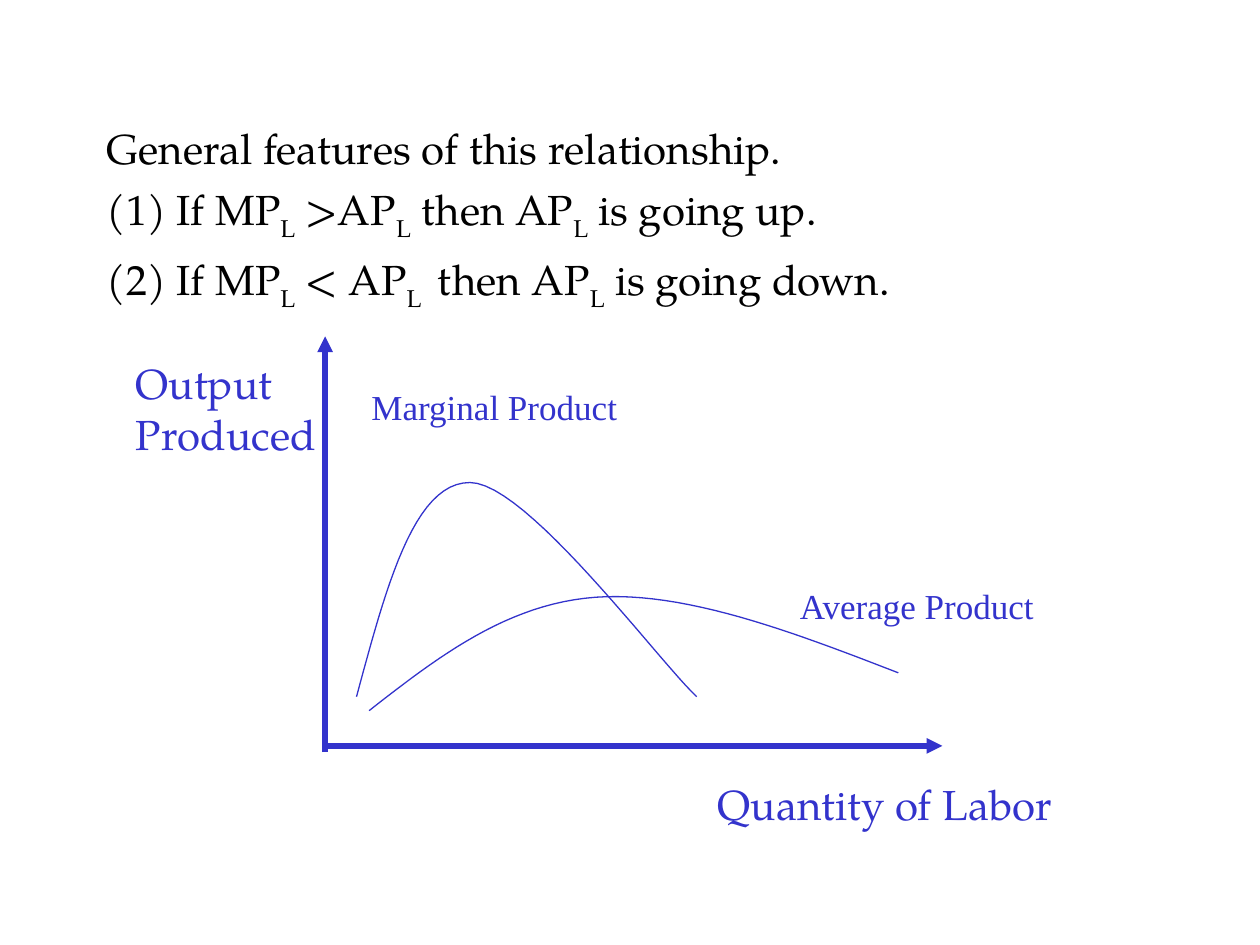
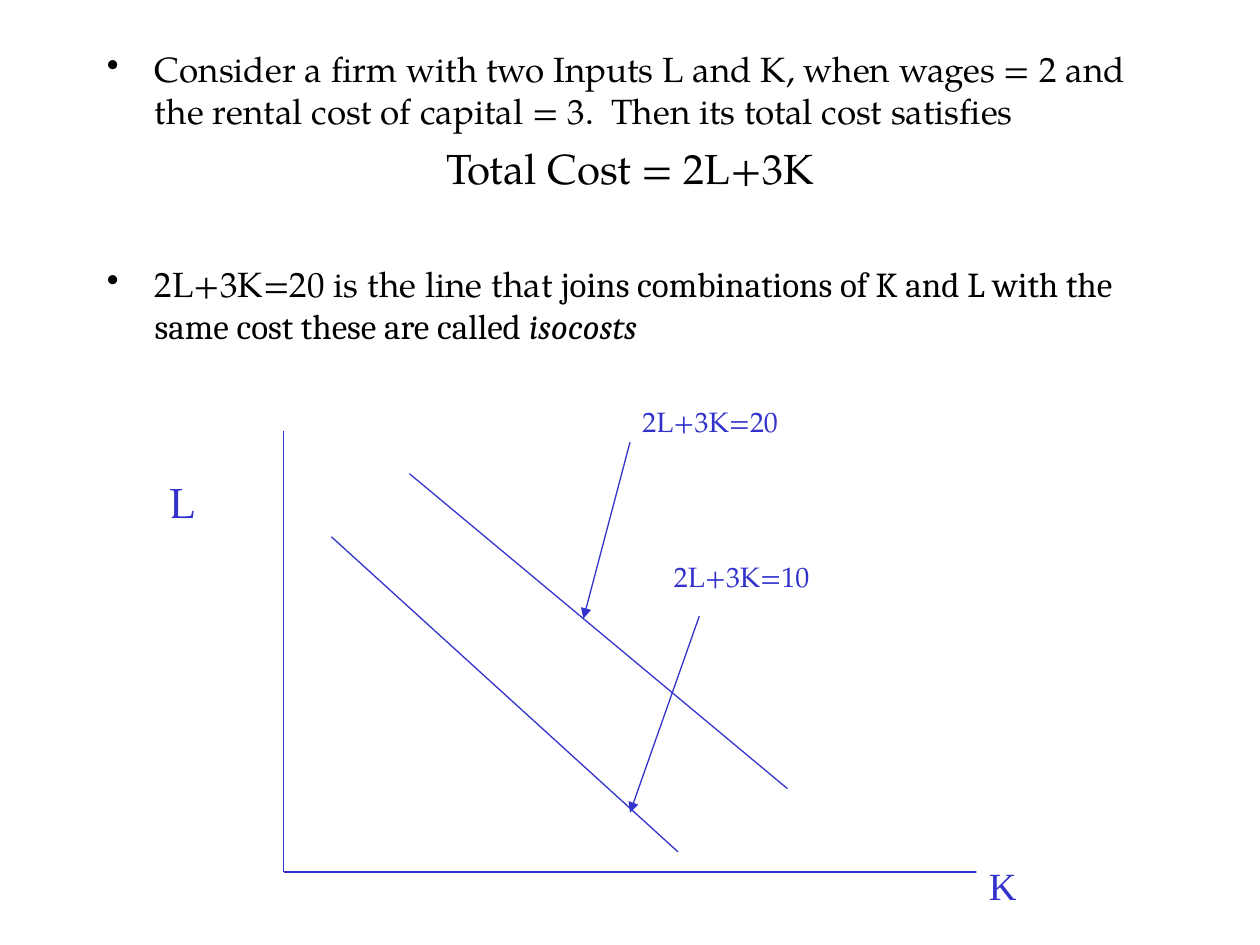
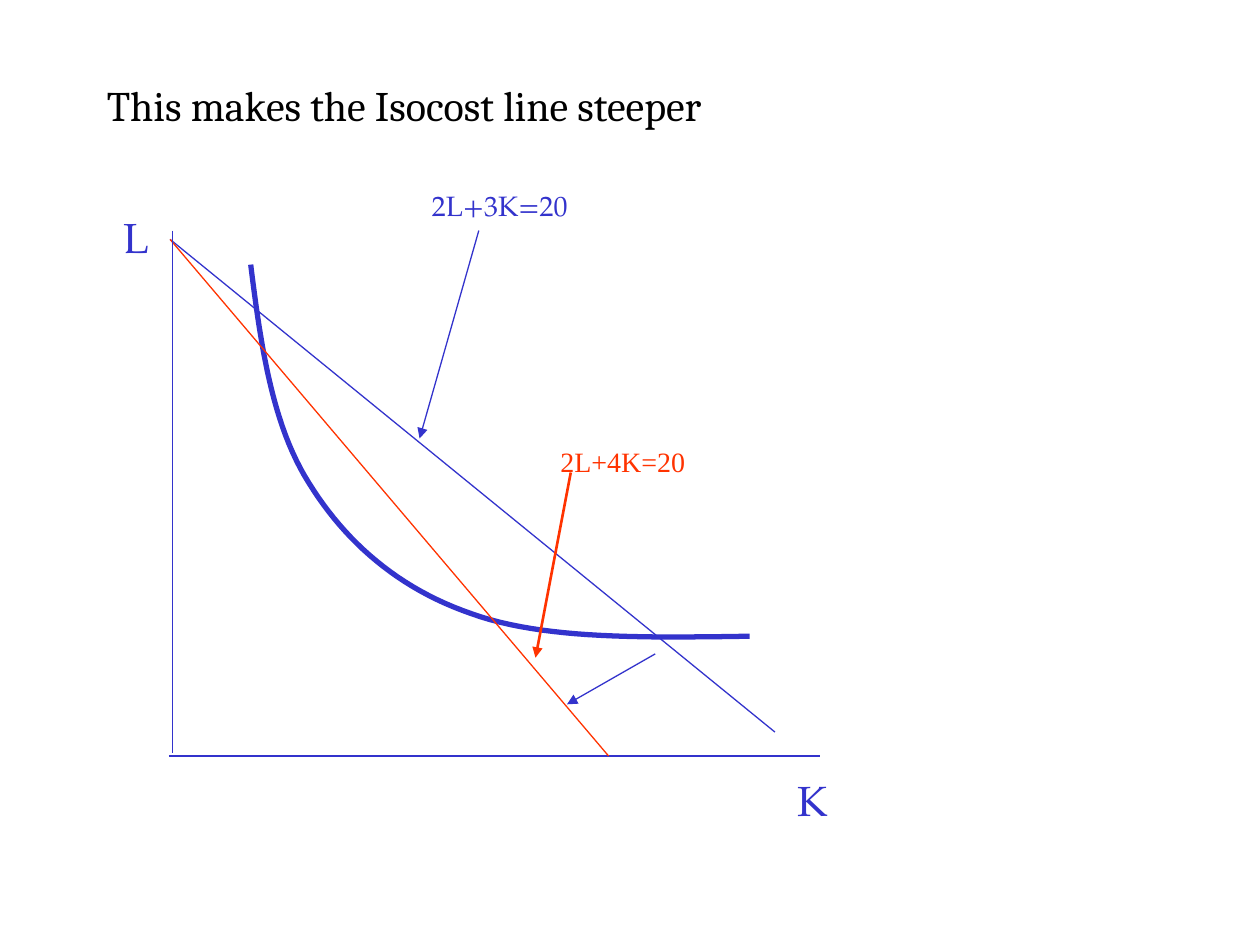
from dataclasses import dataclass
from typing import NamedTuple

from lxml.etree import SubElement
from pptx import Presentation
from pptx.dml.color import RGBColor
from pptx.enum.shapes import MSO_CONNECTOR as Connector
from pptx.enum.text import PP_ALIGN as Align
from pptx.oxml.ns import qn
from pptx.slide import Slide
from pptx.util import Inches, Pt

COLUMNS, ROWS = 100, 75
WIDTH, HEIGHT = Inches(10), Inches(7.5)
COLORS = {"text": "000000", "graph": "3333CC", "accent": "FF3300", "paper": "FFFFFF"}
PAGELLA, TIMES, CAMBRIA = "TeX Gyre Pagella", "Times New Roman", "Cambria"
THIN, MEDIUM, THICK = 0.75, 1.5, 3
HANGING = Inches(0.38)
CURVE_STEPS = 24


class Point(NamedTuple):
    column: float
    row: float


class Area(NamedTuple):
    column: float
    row: float
    columns: float
    rows: float


@dataclass(frozen=True)
class Span:
    text: str
    size: float = 24
    font: str = PAGELLA
    color: str = "graph"
    italic: bool = False
    subscript: bool = False


@dataclass(frozen=True)
class Para:
    spans: list[Span]
    before: float = 0
    align: Align = Align.LEFT
    bullet: bool = False


@dataclass(frozen=True)
class Box:
    area: Area
    paras: list[Para]
    fill: str | None = None


@dataclass(frozen=True)
class Line:
    start: Point
    end: Point
    weight: float = THIN
    color: str = "graph"
    arrow: bool = False


@dataclass(frozen=True)
class Curve:
    points: list[Point]
    weight: float = THIN
    color: str = "graph"


def across(columns: float) -> int:
    return round(WIDTH * columns / COLUMNS)


def down(rows: float) -> int:
    return round(HEIGHT * rows / ROWS)


def rgb(name: str) -> RGBColor:
    return RGBColor.from_string(COLORS[name])


def apply(target: object, values: dict) -> None:
    for name, value in values.items():
        setattr(target, name, value)


def write_span(para, item: Span) -> None:
    span = para.add_run()
    span.text = item.text
    apply(span.font, {"size": Pt(item.size), "name": item.font, "italic": item.italic})
    span.font.color.rgb = rgb(item.color)
    if item.subscript:
        span._r.get_or_add_rPr().set("baseline", "-30000")


def add_bullet(para) -> None:
    properties = para._p.get_or_add_pPr()
    properties.set("marL", str(HANGING))
    properties.set("indent", str(-HANGING))
    bullet_color = SubElement(properties, qn("a:buClr"))
    SubElement(bullet_color, qn("a:srgbClr"), val=COLORS["text"])
    SubElement(properties, qn("a:buChar"), char="•")


def draw_box(page: Slide, item: Box) -> None:
    column, row, columns, rows = item.area
    box = page.shapes.add_textbox(across(column), down(row), across(columns), down(rows))
    if item.fill:
        box.fill.solid()
        box.fill.fore_color.rgb = rgb(item.fill)
    frame = box.text_frame
    frame.word_wrap = True
    for index, entry in enumerate(item.paras):
        para = frame.add_paragraph() if index else frame.paragraphs[0]
        if entry.bullet:
            add_bullet(para)
        apply(para, {"alignment": entry.align, "space_before": Pt(entry.before)})
        for span in entry.spans:
            write_span(para, span)


def draw_line(page: Slide, item: Line) -> None:
    line = page.shapes.add_connector(
        Connector.STRAIGHT,
        across(item.start.column), down(item.start.row),
        across(item.end.column), down(item.end.row),
    )
    line.line.width = Pt(item.weight)
    line.line.color.rgb = rgb(item.color)
    if item.arrow:
        SubElement(line.line._get_or_add_ln(), qn("a:tailEnd"), type="triangle")
    SubElement(line._element.spPr, qn("a:effectLst"))


def bezier(controls: list[Point], share: float) -> Point:
    rest = 1 - share
    weights = (rest**3, 3 * rest**2 * share, 3 * rest * share**2, share**3)
    return Point(*(sum(w * v for w, v in zip(weights, axis)) for axis in zip(*controls)))


def draw_curve(page: Slide, item: Curve) -> None:
    points = item.points
    trace = [
        bezier(points[first:first + 4], step / CURVE_STEPS)
        for first in range(0, len(points) - 1, 3)
        for step in range(1, CURVE_STEPS + 1)
    ]
    builder = page.shapes.build_freeform(across(points[0].column), down(points[0].row))
    builder.add_line_segments([(across(p.column), down(p.row)) for p in trace], close=False)
    curve = builder.convert_to_shape()
    curve.shadow.inherit = False
    curve.fill.background()
    curve.line.width = Pt(item.weight)
    curve.line.color.rgb = rgb(item.color)


DRAW = {Box: draw_box, Line: draw_line, Curve: draw_curve}


def label(area: Area, *lines: str, size: float = 24, font: str = PAGELLA,
          color: str = "graph", fill: str | None = None) -> Box:
    return Box(area, [Para([Span(line, size, font, color)]) for line in lines], fill)


def body(text: str, size: float = 24, font: str = PAGELLA, italic: bool = False) -> Span:
    return Span(text, size, font, "text", italic)


def rule(*parts: str) -> Para:
    spans = [Span(part, color="text", subscript=index % 2 == 1)
             for index, part in enumerate(parts)]
    return Para(spans, before=6)


PRODUCT_CURVES = [
    Box(Area(7.5, 9.2, 85, 57.5), [
        Para([body("General features of this relationship.")]),
        rule("(1) If MP", "L", " >AP", "L", " then AP", "L", " is going up."),
        rule("(2) If MP", "L", " < AP", "L ", " then AP", "L", " is going down."),
    ]),
    Line(Point(25.8, 59.7), Point(25.8, 26.7), THICK, arrow=True),
    Line(Point(25.8, 59.2), Point(74.8, 59.2), THICK, arrow=True),
    Curve([Point(29.3, 56.4), Point(34.8, 52.1), Point(40.3, 47.9), Point(47.3, 47.4),
           Point(54.3, 46.9), Point(62.8, 50.1), Point(71.3, 53.4)]),
    Curve([Point(28.3, 55.3), Point(30.6, 46.8), Point(32.8, 38.3), Point(37.3, 38.3),
           Point(41.8, 38.3), Point(52.3, 52.5), Point(55.3, 55.3)]),
    label(Area(62.5, 45.9, 25, 7), "Average Product", size=20, font=TIMES),
    label(Area(28.5, 30.1, 22, 5), "Marginal Product", size=20, font=TIMES),
    label(Area(56, 61.3, 30, 7.7), "Quantity of Labor"),
    label(Area(9.8, 27.9, 19, 11), "Output", "Produced"),
]

ISOCOSTS = [
    Box(Area(7.5, 3.3, 85, 70), [
        Para([body("Consider a firm with two Inputs L and K, when wages = 2 and the rental "
                   "cost of capital = 3.  Then its total cost satisfies", 20)], bullet=True),
        Para([body("Total Cost = 2L+3K")], before=6, align=Align.CENTER),
        Para([body("2L+3K=20 is the line that", 20),
              body(" joins combinations of K and L with the same cost these are called ",
                   20, CAMBRIA),
              body("isocosts", 20, CAMBRIA, italic=True)], before=40, bullet=True),
    ]),
    Line(Point(22.5, 34.2), Point(22.5, 69.2)),
    Line(Point(32.5, 37.6), Point(62.5, 62.6)),
    Line(Point(26.3, 42.6), Point(53.8, 67.6)),
    label(Area(12.5, 37.3, 5.5, 6.1), "L"),
    label(Area(50, 31.6, 13.8, 5), "2L+3K=20", size=16),
    Line(Point(50, 35.1), Point(46.3, 49.1), arrow=True),
    label(Area(52.5, 43.9, 15, 5), "2L+3K=10", size=16),
    Line(Point(55.5, 48.9), Point(50, 64.5), arrow=True),
    Line(Point(22.5, 69.2), Point(77.5, 69.2)),
    label(Area(77.5, 67.9, 10, 3.7), "K", size=22, font=TIMES, fill="paper"),
]

STEEPER_ISOCOST = [
    Box(Area(7.5, 5.8, 85, 60.8),
        [Para([body("This makes the Isocost line steeper", font=CAMBRIA)])]),
    Line(Point(13.4, 60), Point(65.1, 60)),
    Curve([Point(19.9, 21), Point(20.7, 27.4), Point(21.6, 33.7), Point(24.5, 38.3),
           Point(27.4, 43), Point(31.6, 46.7), Point(37.4, 48.7),
           Point(43.2, 50.8), Point(51.4, 50.6), Point(59.5, 50.5)], THICK),
    Line(Point(13.5, 19), Point(61.5, 58.1)),
    Line(Point(45.3, 37.5), Point(42.5, 52.2), MEDIUM, "accent", arrow=True),
    label(Area(62.3, 61, 6.4, 5.2), "K"),
    label(Area(8.8, 16.3, 9.3, 4.9), "L"),
    Line(Point(38, 18.3), Point(33.3, 34.8), arrow=True),
    Line(Point(13.5, 19), Point(48.3, 60), color="accent"),
    label(Area(43.5, 34.8, 15, 7), "2L+4K=20", size=16, font=TIMES, color="accent"),
    Line(Point(52, 51.9), Point(45, 55.9), arrow=True),
    Line(Point(13.7, 18.3), Point(13.7, 59.8)),
    label(Area(33.3, 14.5, 16.7, 3.8), "2L+3K=20", size=16),
]


def main() -> None:
    deck = Presentation()
    apply(deck, {"slide_width": WIDTH, "slide_height": HEIGHT})
    for items in (PRODUCT_CURVES, ISOCOSTS, STEEPER_ISOCOST):
        page = deck.slides.add_slide(deck.slide_layouts[6])
        for item in items:
            DRAW[type(item)](page, item)
    deck.save("out.pptx")


if __name__ == "__main__":
    main()
